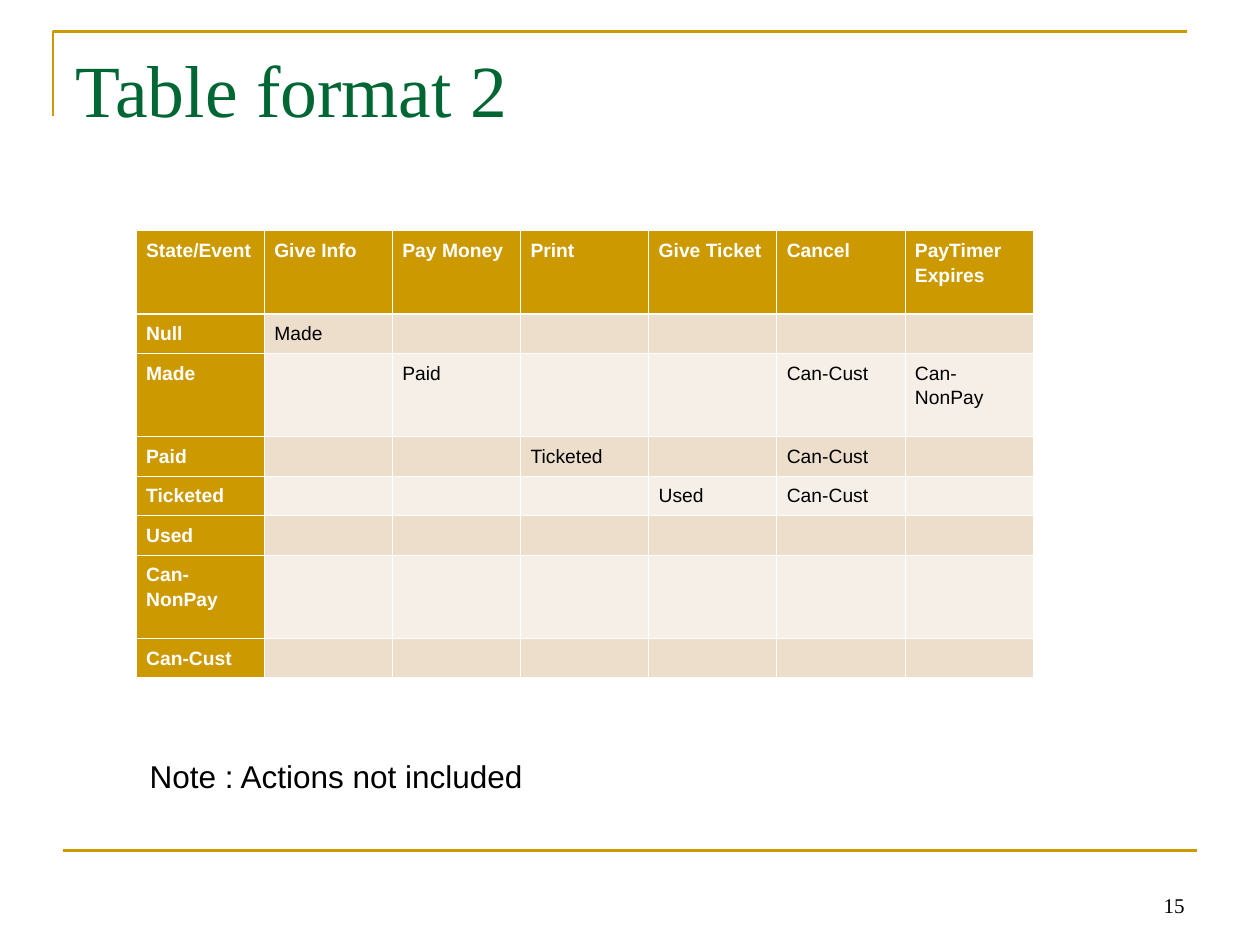
from lxml import etree
from pptx import Presentation
from pptx.dml.color import RGBColor
from pptx.enum.shapes import MSO_CONNECTOR
from pptx.enum.text import MSO_ANCHOR, MSO_AUTO_SIZE, PP_ALIGN
from pptx.oxml.ns import qn
from pptx.util import Inches, Pt

STRAIGHT = MSO_CONNECTOR.STRAIGHT
LEFT, RIGHT = PP_ALIGN.LEFT, PP_ALIGN.RIGHT
TOP, BOTTOM = MSO_ANCHOR.TOP, MSO_ANCHOR.BOTTOM
FIT_SHAPE = MSO_AUTO_SIZE.SHAPE_TO_FIT_TEXT

GOLD = RGBColor(0xCC, 0x99, 0x00)
GREEN = RGBColor(0x00, 0x66, 0x33)
DARK_BAND = RGBColor(0xEC, 0xDE, 0xCB)
LIGHT_BAND = RGBColor(0xF6, 0xEF, 0xE7)
WHITE = RGBColor(0xFF, 0xFF, 0xFF)
BLACK = RGBColor(0x00, 0x00, 0x00)
SANS, SERIF = "Arial", "Times New Roman"

EVENTS = ["Give Info", "Pay Money", "Print", "Give Ticket", "Cancel", "PayTimer\nExpires"]
TRANSITIONS = {
    "Null": {"Give Info": "Made"},
    "Made": {"Pay Money": "Paid", "Cancel": "Can-Cust", "PayTimer\nExpires": "Can-NonPay"},
    "Paid": {"Print": "Ticketed", "Cancel": "Can-Cust"},
    "Ticketed": {"Give Ticket": "Used", "Cancel": "Can-Cust"},
    "Used": {},
    "Can-NonPay": {},
    "Can-Cust": {},
}
TALL_ROWS = {0, 2, 6}
CELL_SIZE = 11
THIN, THICK = 0.45, 1.47


def format_text(frame, font_name, size, color, bold=False, align=LEFT):
    """Give every run of a text frame the same look."""
    for para in frame.paragraphs:
        para.alignment = align
        for span in para.runs:
            span.font.name = font_name
            span.font.size = Pt(size)
            span.font.bold = bold
            span.font.color.rgb = color


def add_frame_lines(page, left, top, width, bottom):
    """Draw the corner bracket above the title and the rule above the footer."""
    builder = page.shapes.build_freeform(left, top + Inches(0.67))
    builder.add_line_segments([(left, top), (left + width, top)], close=False)
    bracket = builder.convert_to_shape()
    bracket.fill.background()
    bracket.shadow.inherit = False

    rule_left = left + Inches(0.08)
    rule = page.shapes.add_connector(STRAIGHT, rule_left, bottom, rule_left + width, bottom)
    etree.SubElement(rule._element.spPr, qn("a:effectLst"))
    for shape in (bracket, rule):
        shape.line.color.rgb = GOLD
        shape.line.width = Pt(1.5)


def place_title(page, left, top, width, height):
    """Move and format the title placeholder."""
    title = page.shapes.title
    title.left, title.top, title.width, title.height = left, top, width, height
    frame = title.text_frame
    frame.text = "Table format 2"
    frame.vertical_anchor = TOP
    format_text(frame, SERIF, 42, GREEN)


def set_borders(cell, widths):
    """Draw white cell borders with the given widths by side."""
    properties = cell._tc.get_or_add_tcPr()
    for side in ("L", "R", "T", "B"):
        line = etree.SubElement(properties, qn(f"a:ln{side}"), w=str(Pt(widths.get(side, THIN))))
        fill = etree.SubElement(line, qn("a:solidFill"))
        etree.SubElement(fill, qn("a:srgbClr"), val=str(WHITE))


def fill_cell(cell, text, row, column):
    """Write one cell and style it as a heading or a banded body cell."""
    heading = row == 0 or column == 0
    set_borders(cell, {0: {"B": THICK}, 1: {"T": THICK}}.get(row, {}))
    cell.fill.solid()
    cell.fill.fore_color.rgb = GOLD if heading else (DARK_BAND if row % 2 else LIGHT_BAND)
    cell.margin_left = cell.margin_right = Inches(0.08)
    cell.margin_top = cell.margin_bottom = Inches(0.05)
    frame = cell.text_frame
    frame.text = text
    format_text(frame, SANS, CELL_SIZE, WHITE if heading else BLACK, heading)
    for para in frame.paragraphs:
        para.line_spacing = 1.15
        if not para.runs:
            etree.SubElement(para._p, qn("a:endParaRPr"), sz=str(CELL_SIZE * 100))


def add_state_table(page, left, top, width, height):
    """Add the state and event table."""
    rows = [["State/Event", *EVENTS]]
    for state, targets in TRANSITIONS.items():
        rows.append([state, *(targets.get(event, "") for event in EVENTS)])
    columns = len(rows[0])
    table = page.shapes.add_table(len(rows), columns, left, top, width, height).table

    tall = Inches(0.66)
    short = (height - tall * len(TALL_ROWS)) // (len(rows) - len(TALL_ROWS))
    for column in table.columns:
        column.width = width // columns
    for row, texts in enumerate(rows):
        table.rows[row].height = tall if row in TALL_ROWS else short
        for column, text in enumerate(texts):
            fill_cell(table.cell(row, column), text, row, column)


def add_note(page, left, top, width, height):
    """Add the note below the table."""
    frame = page.shapes.add_textbox(left, top, width, height).text_frame
    frame.text = "Note : Actions not included"
    frame.word_wrap = False
    frame.auto_size = FIT_SHAPE
    format_text(frame, SANS, 18, BLACK)


def add_page_number(page, left, top, width, height):
    """Add the page number at the lower right."""
    frame = page.shapes.add_textbox(left, top, width, height).text_frame
    frame.text = "15"
    frame.word_wrap = True
    frame.vertical_anchor = BOTTOM
    format_text(frame, SERIF, 12, BLACK, align=RIGHT)


def main():
    """Build the slide and save the deck."""
    deck = Presentation()
    deck.slide_width, deck.slide_height = Inches(10), Inches(7.5)
    page = deck.slides.add_slide(deck.slide_layouts[5])
    add_frame_lines(page, Inches(0.42), Inches(0.25), Inches(9), Inches(6.75))
    place_title(page, Inches(0.5), Inches(0.3), Inches(9), Inches(1.25))
    add_state_table(page, Inches(1.08), Inches(1.83), Inches(7.12), Inches(3.55))
    add_page_number(page, Inches(7.17), Inches(6.83), Inches(2.33), Inches(0.5))
    add_note(page, Inches(1.09), Inches(5.96), Inches(3.17), Inches(0.4))
    deck.save("out.pptx")


if __name__ == "__main__":
    main()
